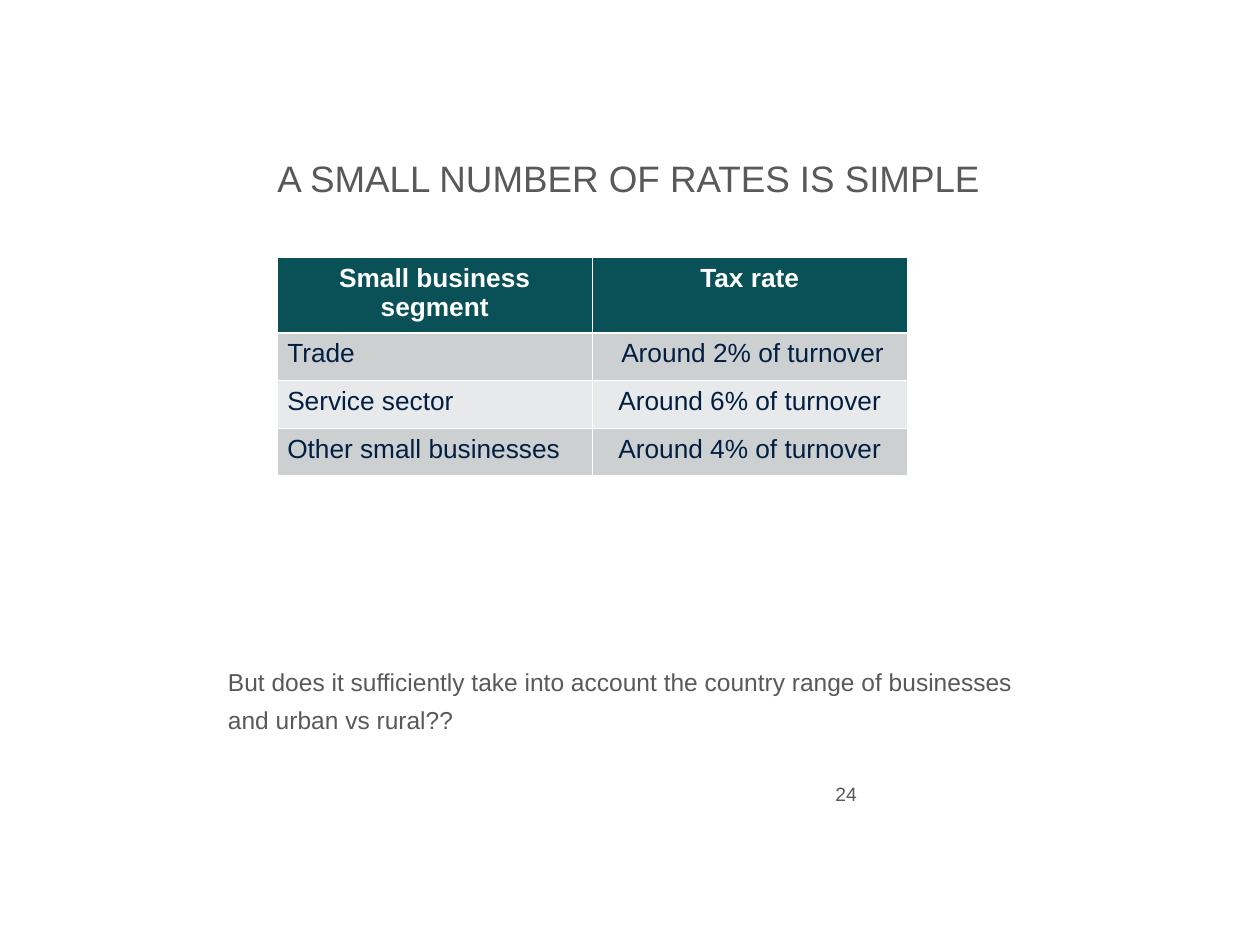
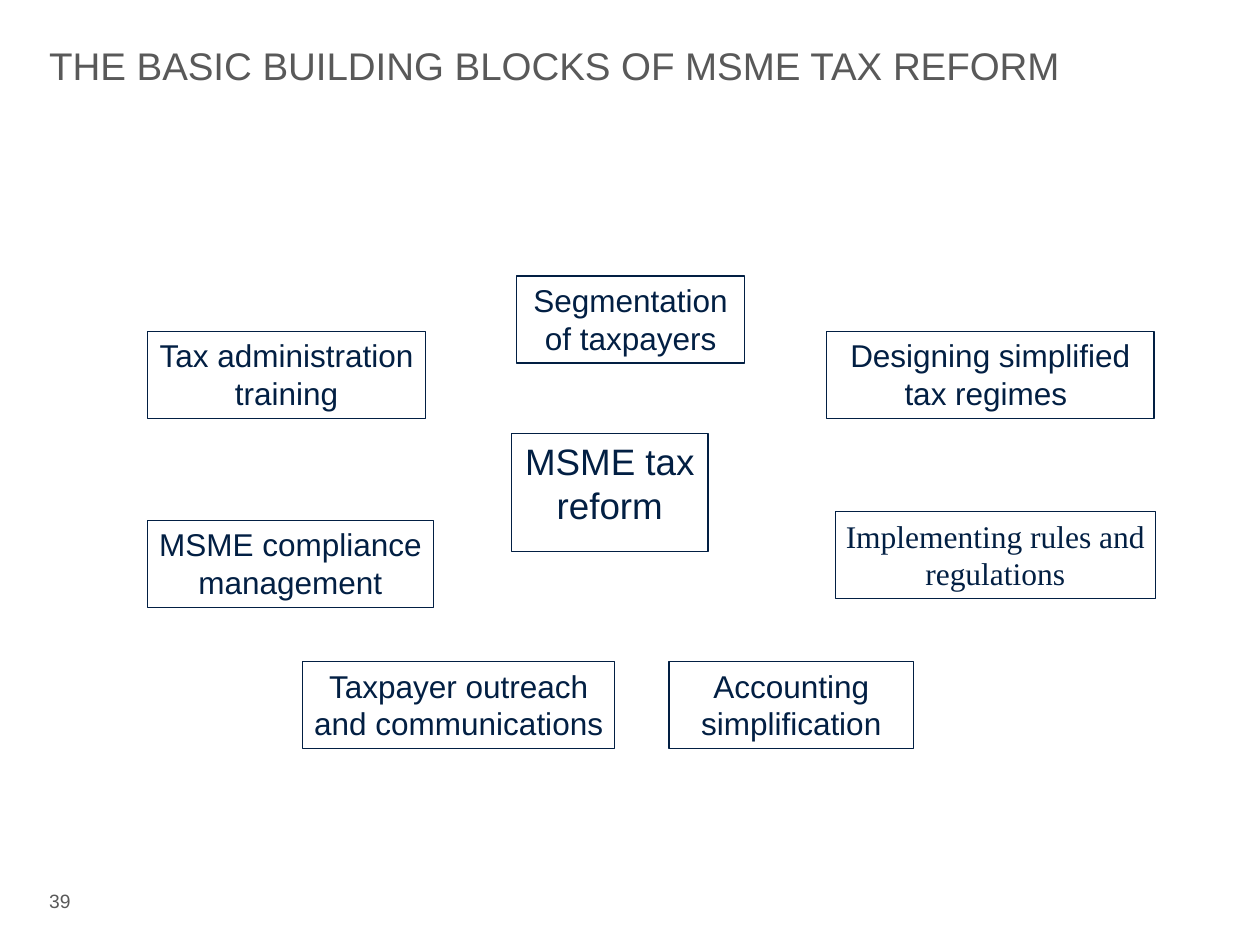
from dataclasses import dataclass

from lxml import etree
from pptx import Presentation
from pptx import util as u
from pptx.dml.color import RGBColor
from pptx.enum import shapes, text
from pptx.oxml.ns import qn

GREY, NAVY, TEAL, WHITE = "595959", "021F43", "0A5157", "FFFFFF"
BANDS = ("CCD0D1", "E7E9EA")
LEFT, CENTER = text.PP_ALIGN.LEFT, text.PP_ALIGN.CENTER
TOP, MIDDLE = text.MSO_ANCHOR.TOP, text.MSO_ANCHOR.MIDDLE
THIN, HEAVY = 0.45, 1.47


@dataclass(frozen=True)
class Area:
    left: float
    top: float
    width: float
    height: float

    def lengths(self) -> tuple:
        return tuple(u.Inches(n) for n in (self.left, self.top, self.width, self.height))


@dataclass(frozen=True)
class Block:
    label: str
    area: Area
    size: float = 18
    font: str = "Arial"


BLOCK_HEIGHT = 0.69
BLOCKS = (
    Block("MSME tax reform", Area(4.06, 3.44, 1.56, 0.94), size=21),
    Block("Taxpayer outreach and communications", Area(2.4, 5.25, 2.48, BLOCK_HEIGHT)),
    Block("Tax administration training", Area(1.17, 2.63, 2.21, BLOCK_HEIGHT)),
    Block("Segmentation of taxpayers", Area(4.1, 2.19, 1.81, BLOCK_HEIGHT)),
    Block("Designing simplified tax regimes ", Area(6.56, 2.63, 2.6, BLOCK_HEIGHT)),
    Block("Implementing rules and regulations", Area(6.63, 4.06, 2.54, BLOCK_HEIGHT),
          font="Times New Roman"),
    Block("Accounting simplification", Area(5.31, 5.25, 1.94, BLOCK_HEIGHT)),
    Block("MSME compliance management", Area(1.17, 4.13, 2.27, BLOCK_HEIGHT)),
)

RATES = (
    ("Small business segment", "Tax rate"),
    ("Trade", " Around 2% of turnover"),
    ("Service sector", "Around 6% of turnover"),
    ("Other small businesses", "Around 4% of turnover"),
)
ROW_HEIGHTS = (0.58, 0.38, 0.38, 0.37)


def color(value: str) -> RGBColor:
    return RGBColor.from_string(value)


def write(frame, words: str, size: float, fill: str, align=LEFT, font: str = "Arial",
          bold: bool = False):
    """Put one paragraph in a text frame and return it."""
    paragraph = frame.paragraphs[0]
    paragraph.text = words
    paragraph.alignment = align
    paragraph.font.name = font
    paragraph.font.size = u.Pt(size)
    paragraph.font.bold = bold
    paragraph.font.color.rgb = color(fill)
    return paragraph


def set_margins(target, across: float, down: float) -> None:
    """Set the margins of a text frame or a table cell."""
    target.margin_left = target.margin_right = u.Inches(across)
    target.margin_top = target.margin_bottom = u.Inches(down)


def add_text(slide, words: str, area: Area, size: float, align=LEFT, anchor=TOP):
    frame = slide.shapes.add_textbox(*area.lengths()).text_frame
    frame.word_wrap = True
    frame.vertical_anchor = anchor
    set_margins(frame, 0, 0)
    return write(frame, words, size, GREY, align)


def add_page_number(slide, number: int, area: Area) -> None:
    add_text(slide, str(number), area, 11, anchor=MIDDLE)


def add_block(slide, block: Block) -> None:
    shape = slide.shapes.add_shape(shapes.MSO_SHAPE.RECTANGLE, *block.area.lengths())
    shape.shadow.inherit = False
    shape.fill.background()
    shape.line.color.rgb = color(NAVY)
    shape.line.width = u.Pt(0.75)
    frame = shape.text_frame
    frame.word_wrap = True
    frame.vertical_anchor = TOP
    set_margins(frame, 0.08, 0.04)
    write(frame, block.label, block.size, NAVY, CENTER, block.font)


def set_borders(cell, top: float, bottom: float) -> None:
    """Draw white cell borders; the side borders are thin."""
    properties = cell._tc.get_or_add_tcPr()
    widths = {"a:lnL": THIN, "a:lnR": THIN, "a:lnT": top, "a:lnB": bottom}
    for position, (tag, width) in enumerate(widths.items()):
        line = etree.Element(qn(tag), w=str(u.Pt(width)))
        fill = etree.SubElement(line, qn("a:solidFill"))
        etree.SubElement(fill, qn("a:srgbClr"), val=WHITE)
        properties.insert(position, line)


def add_rate_table(slide, area: Area) -> None:
    table = slide.shapes.add_table(len(RATES), len(RATES[0]), *area.lengths()).table
    for row, height in zip(table.rows, ROW_HEIGHTS):
        row.height = u.Inches(height)
    for r, labels in enumerate(RATES):
        header = r == 0
        for c, label in enumerate(labels):
            cell = table.cell(r, c)
            cell.fill.solid()
            cell.fill.fore_color.rgb = color(TEAL if header else BANDS[(r - 1) % 2])
            set_margins(cell, 0.08, 0.05)
            set_borders(cell, HEAVY if r == 1 else THIN, HEAVY if header else THIN)
            write(cell.text_frame, label, 15, WHITE if header else NAVY,
                  CENTER if header or c else LEFT, bold=header)


def build_rates_slide(slide) -> None:
    add_text(slide, "A SMALL NUMBER OF RATES IS SIMPLE", Area(1.8, 1.24, 6.38, 0.46), 21, CENTER)
    question = add_text(
        slide,
        "But does it sufficiently take into account the country range of businesses "
        "and urban vs rural??",
        Area(1.81, 5.22, 6.37, 0.72), 14)
    question.line_spacing = 1.3
    add_page_number(slide, 24, Area(6.63, 6.15, 1.75, 0.3))
    add_rate_table(slide, Area(2.2, 2.04, 5, sum(ROW_HEIGHTS)))


def build_blocks_slide(slide) -> None:
    add_text(slide, "THE BASIC BUILDING BLOCKS OF MSME TAX REFORM",
             Area(0.39, 0.33, 9.25, 1.32), 22)
    add_page_number(slide, 39, Area(0.39, 6.95, 0.35, 0.4))
    for block in BLOCKS:
        add_block(slide, block)


def main() -> None:
    presentation = Presentation()
    presentation.slide_width = u.Inches(10)
    presentation.slide_height = u.Inches(7.5)
    blank = presentation.slide_layouts[6]
    for build in (build_rates_slide, build_blocks_slide):
        build(presentation.slides.add_slide(blank))
    presentation.save("out.pptx")


if __name__ == "__main__":
    main()
